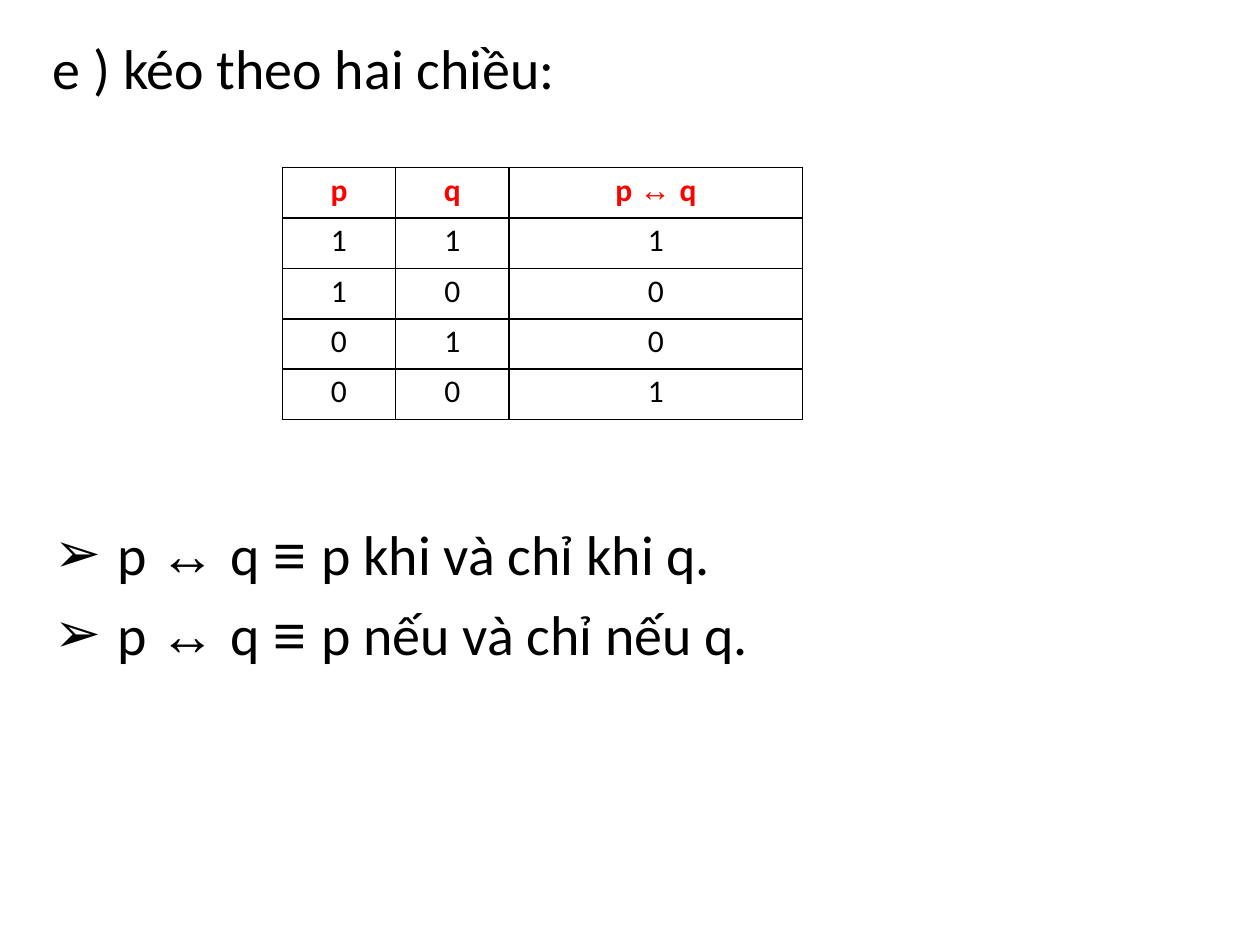
from pptx import Presentation
from pptx.dml.color import RGBColor
from pptx.enum.text import MSO_ANCHOR, MSO_AUTO_SIZE, PP_ALIGN
from pptx.oxml import parse_xml
from pptx.oxml.ns import nsdecls
from pptx.util import Inches, Pt

BLACK, RED, WHITE = "000000", "FF0000", "FFFFFF"
TITLE = "e ) kéo theo hai chiều:"
READINGS = ["p khi và chỉ khi q.", "p nếu và chỉ nếu q."]
HEADER = [
    [("p", "Calibri")],
    [("q", "Calibri")],
    [("p ", "Calibri"), ("↔ ", "Arial"), ("q", "Calibri")],
]
TRUTH_ROWS = ["111", "100", "010", "001"]
COLUMN_WIDTHS = [0.9, 0.9, 2.33]
ROW_HEIGHT = 0.4


def colour(value):
    return RGBColor.from_string(value)


def add_span(para, text, font, size, shade=BLACK, bold=False):
    span = para.add_run()
    span.text = text
    span.font.name = font
    span.font.size = Pt(size)
    span.font.bold = bold
    span.font.color.rgb = colour(shade)


def place(box, left, top, width, height, inset):
    box.left, box.top = Inches(left), Inches(top)
    box.width, box.height = Inches(width), Inches(height)
    frame = box.text_frame
    frame.word_wrap = True
    frame.auto_size = MSO_AUTO_SIZE.NONE
    frame.vertical_anchor = MSO_ANCHOR.TOP
    frame.margin_left = frame.margin_right = frame.margin_bottom = 0
    frame.margin_top = Inches(inset)
    return frame


def add_bullet(para):
    properties = para._p.get_or_add_pPr()
    properties.set("marL", str(Inches(0.51)))
    properties.set("indent", str(Inches(-0.5)))
    properties.append(parse_xml(f'<a:buChar {nsdecls("a")} char="➢"/>'))
    properties.append(parse_xml(
        f'<a:tabLst {nsdecls("a")}><a:tab pos="{Inches(0.51)}" algn="l"/></a:tabLst>'))


def add_borders(cell):
    properties = cell._tc.get_or_add_tcPr()
    for side in ("lnL", "lnR", "lnT", "lnB"):
        properties.append(parse_xml(
            f'<a:{side} {nsdecls("a")} w="{Pt(1)}"><a:solidFill>'
            f'<a:srgbClr val="{BLACK}"/></a:solidFill></a:{side}>'))


def fill_cell(cell, spans, shade, bold):
    add_borders(cell)
    cell.fill.solid()
    cell.fill.fore_color.rgb = colour(WHITE)
    cell.margin_left = cell.margin_right = cell.margin_bottom = 0
    cell.margin_top = Inches(0.03)
    para = cell.text_frame.paragraphs[0]
    para.alignment = PP_ALIGN.CENTER
    for text, font in spans:
        add_span(para, text, font, 18, shade, bold and font == "Calibri")


def add_truth_table(page):
    rows = [HEADER] + [[[(digit, "Calibri")] for digit in row] for row in TRUTH_ROWS]
    table = page.shapes.add_table(
        len(rows), len(COLUMN_WIDTHS), Inches(2.24), Inches(1.33),
        Inches(sum(COLUMN_WIDTHS)), Inches(ROW_HEIGHT * len(rows))).table
    table.first_row = table.horz_banding = False
    for column, width in zip(table.columns, COLUMN_WIDTHS):
        column.width = Inches(width)
    for row_index, row in enumerate(rows):
        table.rows[row_index].height = Inches(ROW_HEIGHT)
        is_header = row_index == 0
        for column_index, spans in enumerate(row):
            fill_cell(table.cell(row_index, column_index), spans,
                      RED if is_header else BLACK, is_header)


def main():
    deck = Presentation()
    deck.slide_width, deck.slide_height = Inches(10), Inches(7.5)
    page = deck.slides.add_slide(deck.slide_layouts[1])

    para = place(page.shapes.title, 0.42, 0.26, 4.3, 0.56, 0.01).paragraphs[0]
    para.alignment = PP_ALIGN.LEFT
    add_span(para, TITLE, "Calibri", 32)

    frame = place(page.placeholders[1], 0.42, 4, 5.8, 1.31, 0.12)
    for index, reading in enumerate(READINGS):
        para = frame.add_paragraph() if index else frame.paragraphs[0]
        add_bullet(para)
        para.space_before = Pt(7.7 if index else 0)
        for text, font in [("p ", "Calibri"), ("↔ ", "Arial"), ("q ", "Calibri"),
                           ("≡ ", "Arial"), (reading, "Calibri")]:
            add_span(para, text, font, 32)

    add_truth_table(page)
    deck.save("out.pptx")


if __name__ == "__main__":
    main()
